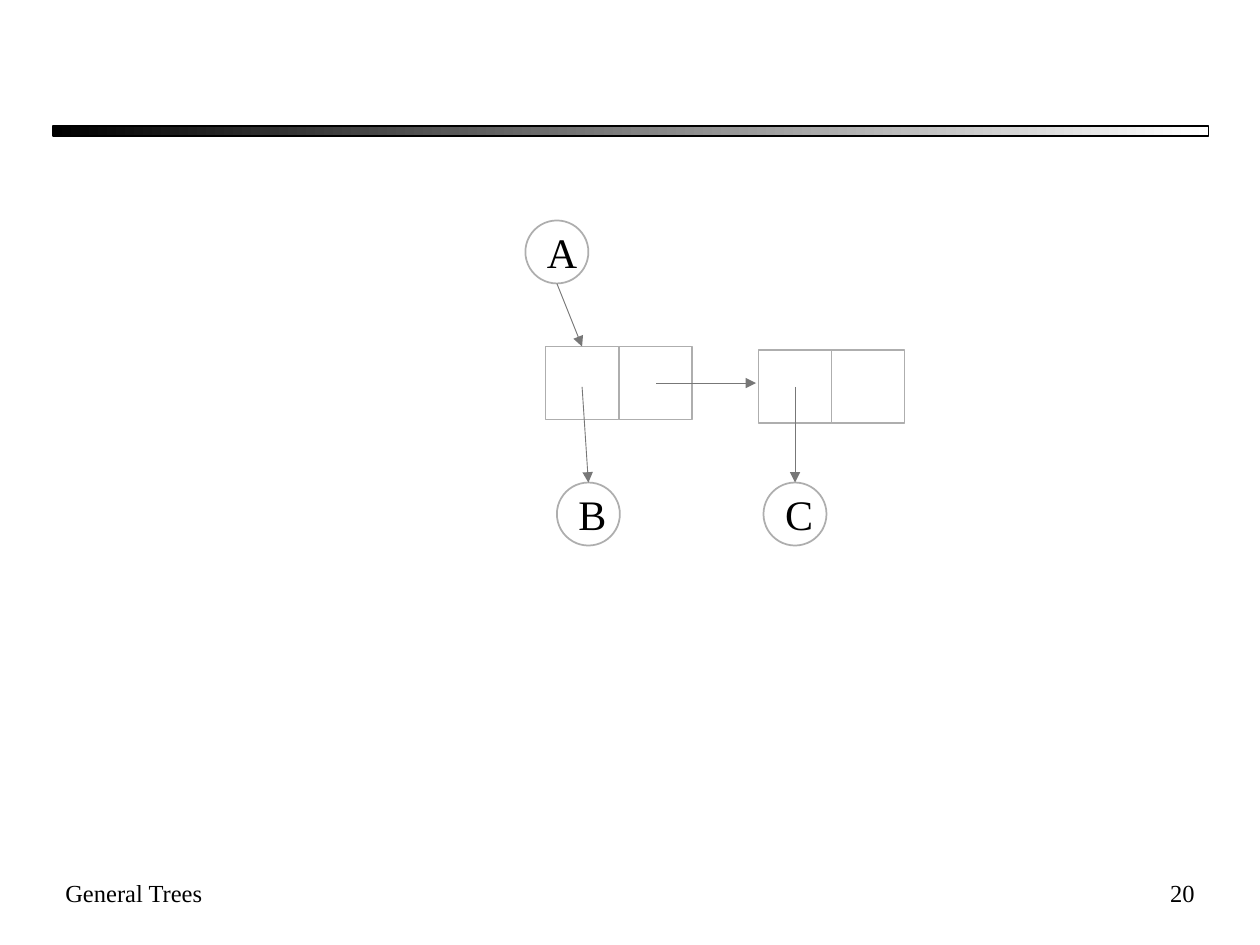
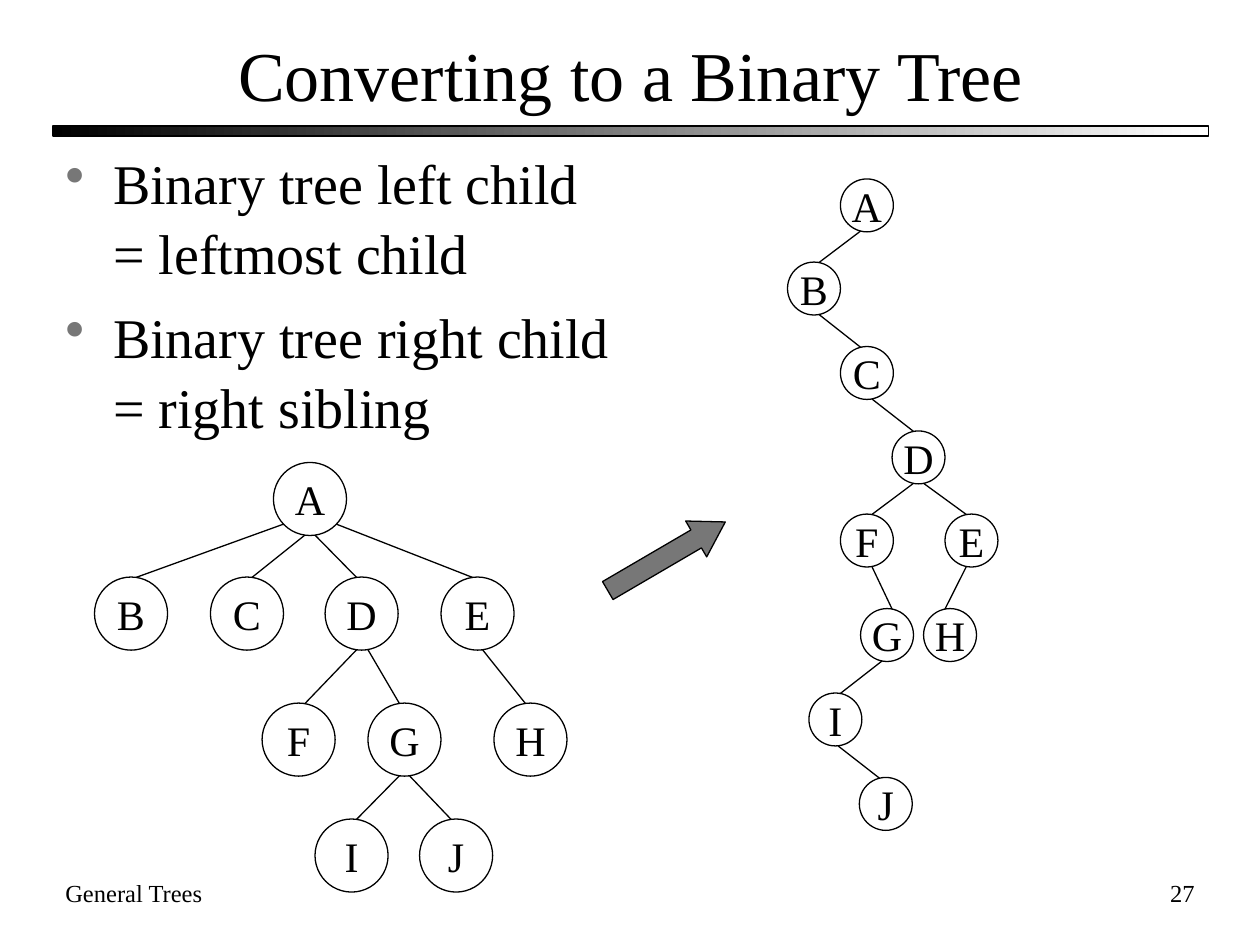
from math import sqrt

from lxml import etree
from pptx import Presentation
from pptx.dml.color import RGBColor
from pptx.enum.shapes import MSO_CONNECTOR, MSO_SHAPE
from pptx.enum.text import MSO_ANCHOR, PP_ALIGN
from pptx.oxml.ns import qn
from pptx.util import Inches, Pt

STRAIGHT = MSO_CONNECTOR.STRAIGHT
ELLIPSE, RECTANGLE, RIGHT_ARROW = MSO_SHAPE.OVAL, MSO_SHAPE.RECTANGLE, MSO_SHAPE.RIGHT_ARROW
LEFT, CENTER, RIGHT = PP_ALIGN.LEFT, PP_ALIGN.CENTER, PP_ALIGN.RIGHT
TOP, MIDDLE = MSO_ANCHOR.TOP, MSO_ANCHOR.MIDDLE

FONT = "Times New Roman"
BLACK, WHITE, GRAY, LIGHT_GRAY = "000000", "FFFFFF", "777777", "AEAEAE"
MARGIN, CONTENT_WIDTH = 0.42, 9.17
TITLE_ONLY, BLANK = 5, 6

CELL = 0.58
LIST_ROOTS = {"A": (4.17, 1.75), "B": (4.42, 3.83), "C": (6.06, 3.83)}
LIST_CELLS = {"first": (4.33, 2.75), "second": (6.02, 2.78)}

# Node: left and top of its circle. Edge: parent, child, x at the parent, x at the child.
GENERAL_NODES = {
    "A": (2.17, 3.67), "B": (0.75, 4.58), "C": (1.67, 4.58), "D": (2.58, 4.58),
    "E": (3.5, 4.58), "F": (2.08, 5.58), "G": (2.92, 5.58), "H": (3.92, 5.58),
    "I": (2.5, 6.5), "J": (3.33, 6.5),
}
GENERAL_EDGES = [
    ("A", "B", 2.25, 1.08), ("A", "C", 2.42, 2), ("A", "D", 2.5, 2.83),
    ("A", "E", 2.67, 3.75), ("D", "F", 2.83, 2.42), ("D", "G", 2.92, 3.17),
    ("E", "H", 3.83, 4.17), ("G", "I", 3.17, 2.83), ("G", "J", 3.25, 3.58),
]
BINARY_NODES = {
    "A": (6.67, 1.42), "B": (6.25, 2.08), "C": (6.67, 2.75), "D": (7.08, 3.42),
    "F": (6.67, 4.08), "E": (7.5, 4.08), "G": (6.83, 4.83), "H": (7.33, 4.83),
    "I": (6.42, 5.5), "J": (6.82, 6.17),
}
BINARY_EDGES = [
    ("A", "B", 6.83, 6.5), ("B", "C", 6.5, 6.83), ("C", "D", 6.92, 7.25),
    ("D", "F", 7.25, 6.92), ("D", "E", 7.33, 7.67), ("F", "G", 6.92, 7.08),
    ("E", "H", 7.67, 7.5), ("G", "I", 7, 6.67), ("I", "J", 6.65, 6.98),
]


def rgb(value):
    return RGBColor.from_string(value)


def add_xml(parent, tag, **attributes):
    return etree.SubElement(parent, qn(tag), attributes)


class Deck:
    def __init__(self):
        self.presentation = Presentation()
        self.presentation.slide_width = Inches(10)
        self.presentation.slide_height = Inches(7.5)
        self.slide = None

    def add_slide(self, number, title=None):
        layout = self.presentation.slide_layouts[TITLE_ONLY if title else BLANK]
        self.slide = self.presentation.slides.add_slide(layout)
        bar = self.shape(RECTANGLE, MARGIN, 1, CONTENT_WIDTH, 0.08)
        bar.fill.gradient()
        bar.fill.gradient_angle = 0
        for stop, color in zip(bar.fill.gradient_stops, (BLACK, WHITE)):
            stop.color.rgb = rgb(color)
        self.text("General Trees", MARGIN, 6.92, 3.5, 0.5, 14)
        self.text(str(number), 7.5, 6.92, 2.08, 0.5, 14, RIGHT)
        if title:
            self.title(title)

    def set_text(self, shape, text, size, align, anchor, wrap=True):
        frame = shape.text_frame
        frame.text = text
        frame.word_wrap = wrap
        frame.vertical_anchor = anchor
        for paragraph in frame.paragraphs:
            paragraph.alignment = align
            for run in paragraph.runs:
                run.font.name = FONT
                run.font.size = Pt(size)
                run.font.color.rgb = rgb(BLACK)

    def title(self, text):
        title = self.slide.shapes.title
        title.left, title.top = Inches(MARGIN), Inches(0.17)
        title.width, title.height = Inches(CONTENT_WIDTH), Inches(0.83)
        self.set_text(title, text, 40, CENTER, MIDDLE)

    def text(self, text, left, top, width, height, size, align=LEFT):
        box = self.slide.shapes.add_textbox(
            Inches(left), Inches(top), Inches(width), Inches(height))
        self.set_text(box, text, size, align, TOP)
        return box

    def bullets(self, items, left, top, width, height):
        """Add a bulleted list; a vertical tab in an item breaks its line."""
        box = self.text("", left, top, width, height, 32)
        frame = box.text_frame
        # Assigning paragraph text, unlike frame text, keeps each item in one paragraph.
        self.set_text(box, "\n".join(items), 32, LEFT, TOP)
        frame.margin_top = Inches(0.08)
        for index, paragraph in enumerate(frame.paragraphs):
            properties = paragraph._p.get_or_add_pPr()
            properties.set("marL", str(Inches(0.38)))
            properties.set("indent", str(-Inches(0.38)))
            add_xml(add_xml(properties, "a:buClr"), "a:srgbClr", val=GRAY)
            add_xml(properties, "a:buChar", char="•")
            paragraph.line_spacing = 1.04
            paragraph.space_before = Pt(8 if index else 0)

    def shape(self, kind, left, top, width, height, fill=None, line=BLACK, weight=0.75):
        shape = self.slide.shapes.add_shape(
            kind, Inches(left), Inches(top), Inches(width), Inches(height))
        shape.shadow.inherit = False
        if fill:
            shape.fill.solid()
            shape.fill.fore_color.rgb = rgb(fill)
        else:
            shape.fill.background()
        shape.line.color.rgb = rgb(line)
        shape.line.width = Pt(weight)
        return shape

    def node(self, label, left, top, size, wrap=False, **style):
        circle = self.shape(ELLIPSE, left, top, size, size, **style)
        self.set_text(circle, label, 24, CENTER, MIDDLE, wrap)
        return circle

    def line(self, start, end, color=BLACK, weight=0.75, arrow=False):
        connector = self.slide.shapes.add_connector(
            STRAIGHT, *(Inches(value) for value in (*start, *end)))
        connector.line.color.rgb = rgb(color)
        connector.line.width = Pt(weight)
        properties = connector._element.spPr
        if arrow:
            add_xml(properties.find(qn("a:ln")), "a:tailEnd", type="triangle")
        add_xml(properties, "a:effectLst")
        return connector

    def pointer(self, start, end):
        return self.line(start, end, GRAY, 0.5, arrow=True)

    def tree(self, nodes, edges, size):
        """Draw circles and edges; every edge end lies on its circle."""
        radius = size / 2

        def rim(name, x, side):
            left, top = nodes[name]
            rise = sqrt(radius ** 2 - (x - left - radius) ** 2)
            return x, top + radius + side * rise

        for label, (left, top) in nodes.items():
            self.node(label, left, top, size)
        for parent, child, parent_x, child_x in edges:
            self.line(rim(parent, parent_x, 1), rim(child, child_x, -1))


def linked_list_slide(deck):
    deck.add_slide(20)
    style = {"fill": WHITE, "line": LIGHT_GRAY, "weight": 1}
    circles = {label: deck.node(label, left, top, 0.5, wrap=True, **style)
               for label, (left, top) in LIST_ROOTS.items()}
    cells = {}
    for name, (left, top) in LIST_CELLS.items():
        cells[name] = deck.shape(RECTANGLE, left, top, CELL, CELL, **style)
        deck.shape(RECTANGLE, left + CELL, top, CELL, CELL, **style)
    deck.pointer((4.42, 2.25), (4.63, 2.75)).end_connect(cells["first"], 0)
    deck.pointer((5.21, 3.04), (6, 3.04))
    deck.pointer((4.62, 3.07), (4.67, 3.83)).end_connect(circles["B"], 0)
    deck.pointer((6.31, 3.07), (6.31, 3.83)).end_connect(circles["C"], 0)


def conversion_slide(deck):
    deck.add_slide(27, "Converting to a Binary Tree")
    deck.bullets(["Binary tree left child\v= leftmost child",
                  "Binary tree right child\v= right sibling"],
                 MARGIN, 1.08, CONTENT_WIDTH, 5.75)
    deck.tree(GENERAL_NODES, GENERAL_EDGES, 0.58)
    deck.tree(BINARY_NODES, BINARY_EDGES, 0.42)
    arrow = deck.shape(RIGHT_ARROW, 4.75, 4.25, 1.08, 0.33, fill=GRAY)
    arrow.adjustments[0], arrow.adjustments[1] = 0.5, 0.81
    arrow.rotation = 329.7


def main():
    deck = Deck()
    linked_list_slide(deck)
    conversion_slide(deck)
    deck.presentation.save("out.pptx")


if __name__ == "__main__":
    main()
